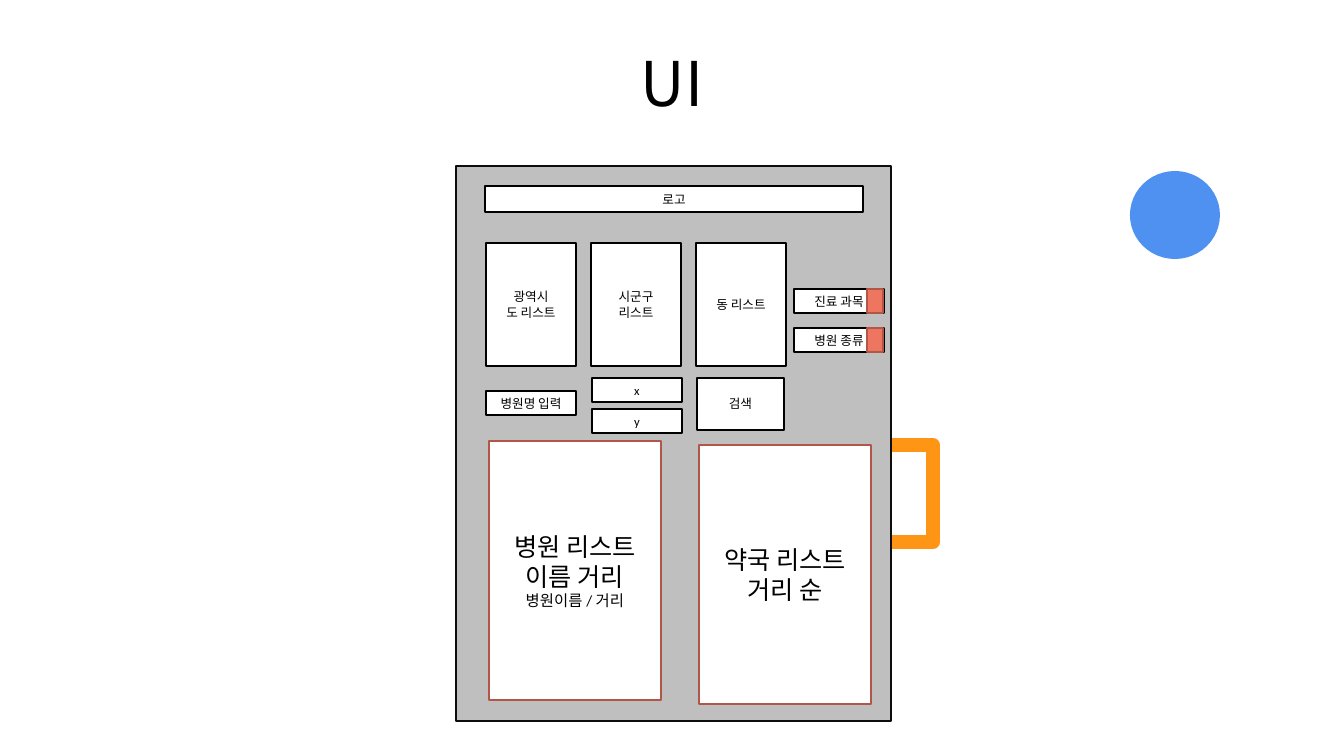
from pptx import Presentation
from pptx import util as u
from pptx.dml.color import RGBColor
from pptx.enum import shapes, text
from pptx.oxml.ns import qn

BLACK = RGBColor(0x00, 0x00, 0x00)
WHITE = RGBColor(0xFF, 0xFF, 0xFF)
PANEL_GRAY = RGBColor(0xBF, 0xBF, 0xBF)
PANEL_EDGE = RGBColor(0x0D, 0x0D, 0x0D)
BLUE = RGBColor(0x4E, 0x91, 0xF0)
ORANGE = RGBColor(0xFF, 0x95, 0x14)
CORAL = RGBColor(0xEE, 0x76, 0x61)
RUST = RGBColor(0xB0, 0x57, 0x48)

TITLE_FONT = "Noto Sans CJK KR"
BODY_FONT = "Calibri"

# Content: lines of text are (words, size in points); frames are px
TITLE = [("UI", 44)]
LOGO = "로고"
REGION_LISTS = [["광역시", "도 리스트"], ["시군구 리스트"], ["동 리스트"]]
SELECTORS = ["진료 과목", "병원 종류"]
NAME_INPUT = "병원명 입력"
COORDINATES = ["x", "y"]
SEARCH = "검색"
RESULT_LISTS = [
    ((489, 441), [("병원 리스트", 18), ("이름 거리", 18), ("병원이름 / 거리", 11)]),
    ((699, 445), [("약국 리스트", 18), ("거리 순", 18)]),
]

# Layout in px
PANEL = (456, 166, 435, 555)
LEFT, COLUMN_STEP = 486, 105
FIELD_W, FIELD_H = 90, 24
REGION_TOP, REGION_H = 243, 123
SELECTOR_LEFT, SELECTOR_TOP, SELECTOR_STEP = 794, 289, 39
MARKER_W = 16
INPUT_TOP, COORDINATE_TOP, COORDINATE_STEP = 391, 378, 31
RESULT_W, RESULT_H = 172, 259


def px(length):
    return u.Emu(round(length * 914400 / 100.8))


prs = Presentation()
prs.slide_width, prs.slide_height = px(1344), px(756)
slide = prs.slides.add_slide(prs.slide_layouts[6])


def write(frame, lines, font=BODY_FONT, spacing=None):
    frame.word_wrap = True
    frame.vertical_anchor = text.MSO_ANCHOR.MIDDLE
    for i, (words, size) in enumerate(lines):
        line = frame.paragraphs[0] if i == 0 else frame.add_paragraph()
        line.alignment = text.PP_ALIGN.CENTER
        line.line_spacing = spacing
        run = line.add_run()
        run.text = words
        run.font.name = font
        run.font.size = u.Pt(size)
        run.font.color.rgb = BLACK
        east_asian = run.font._element.makeelement(qn("a:ea"), {"typeface": font})
        run.font._element.find(qn("a:latin")).addnext(east_asian)


def block(left, top, width, height, lines=(), fill=WHITE, edge=BLACK, weight=1,
          kind=shapes.MSO_SHAPE.RECTANGLE):
    shape = slide.shapes.add_shape(kind, px(left), px(top), px(width), px(height))
    shape.shadow.inherit = False
    if fill is None:
        shape.fill.background()
    else:
        shape.fill.solid()
        shape.fill.fore_color.rgb = fill
    if edge is None:
        shape.line.fill.background()
    else:
        shape.line.color.rgb = edge
        shape.line.width = u.Pt(weight)
    if lines:
        write(shape.text_frame, lines)


def field(left, top, *labels, width=FIELD_W, height=FIELD_H):
    block(left, top, width, height, [(label, 9) for label in labels])


# Decoration and title
block(1130, 171, 90, 88, fill=BLUE, edge=None, kind=shapes.MSO_SHAPE.OVAL)
block(836, 445, 97, 97, fill=None, edge=ORANGE, weight=10)
title = slide.shapes.add_textbox(px(456), px(14), px(432), px(146))
write(title.text_frame, TITLE, font=TITLE_FONT, spacing=0.9)

# Panel with logo bar
block(*PANEL, fill=PANEL_GRAY, edge=PANEL_EDGE)
field(485, 186, LOGO, width=378, height=26)

# Region lists
for i, labels in enumerate(REGION_LISTS):
    field(LEFT + i * COLUMN_STEP, REGION_TOP, *labels, height=REGION_H)

# Selectors with a marker at the right end
for i, label in enumerate(SELECTORS):
    top = SELECTOR_TOP + i * SELECTOR_STEP
    field(SELECTOR_LEFT, top, label)
    block(SELECTOR_LEFT + FIELD_W - MARKER_W - 1, top, MARKER_W, FIELD_H,
          fill=CORAL, edge=RUST)

# Search row
field(LEFT, INPUT_TOP, NAME_INPUT)
for i, label in enumerate(COORDINATES):
    field(LEFT + COLUMN_STEP + 1, COORDINATE_TOP + i * COORDINATE_STEP, label)
field(LEFT + 2 * COLUMN_STEP + 1, COORDINATE_TOP, SEARCH, width=87, height=52)

# Result lists
for (left, top), lines in RESULT_LISTS:
    block(left, top, RESULT_W, RESULT_H, lines, edge=RUST)

prs.save("out.pptx")
